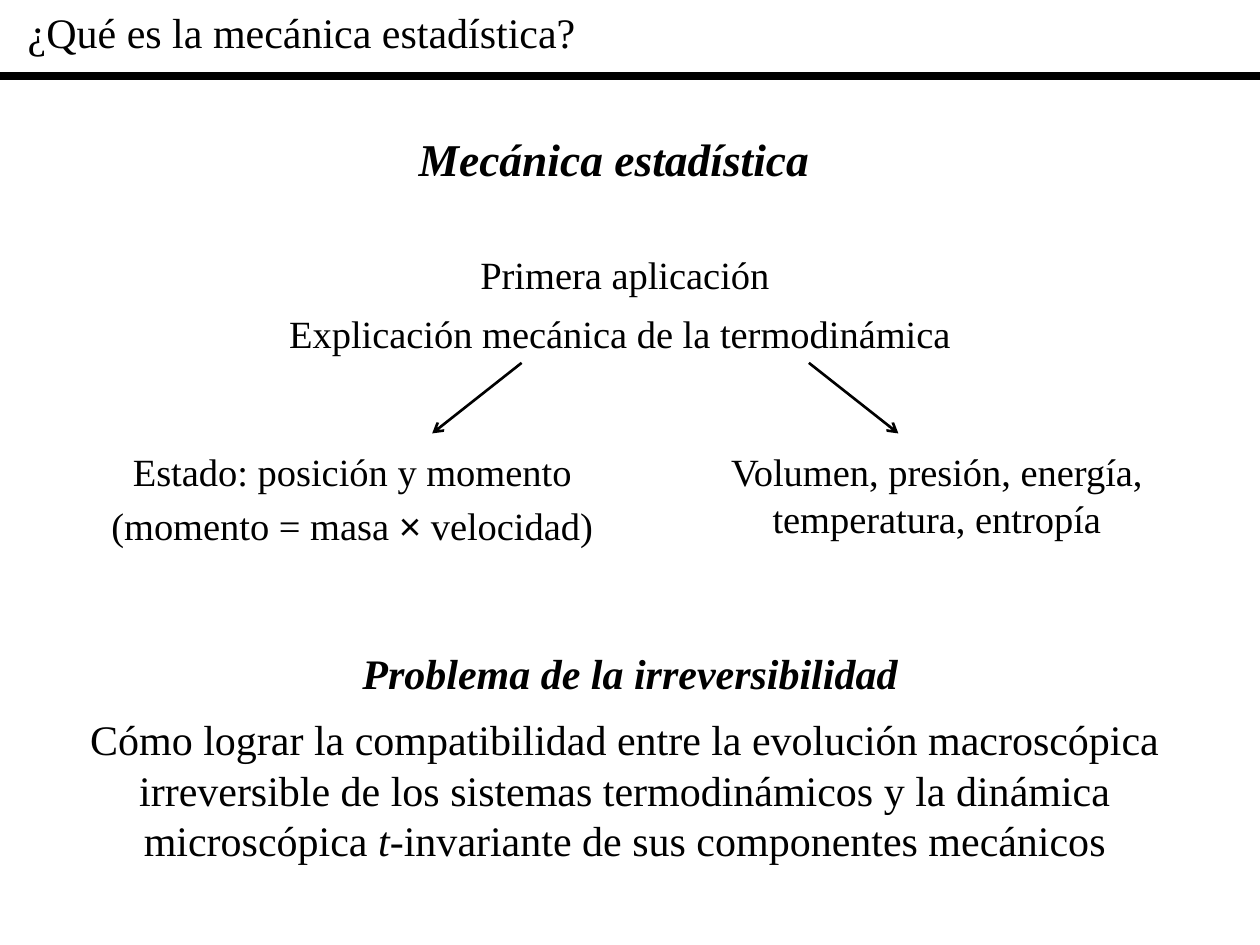
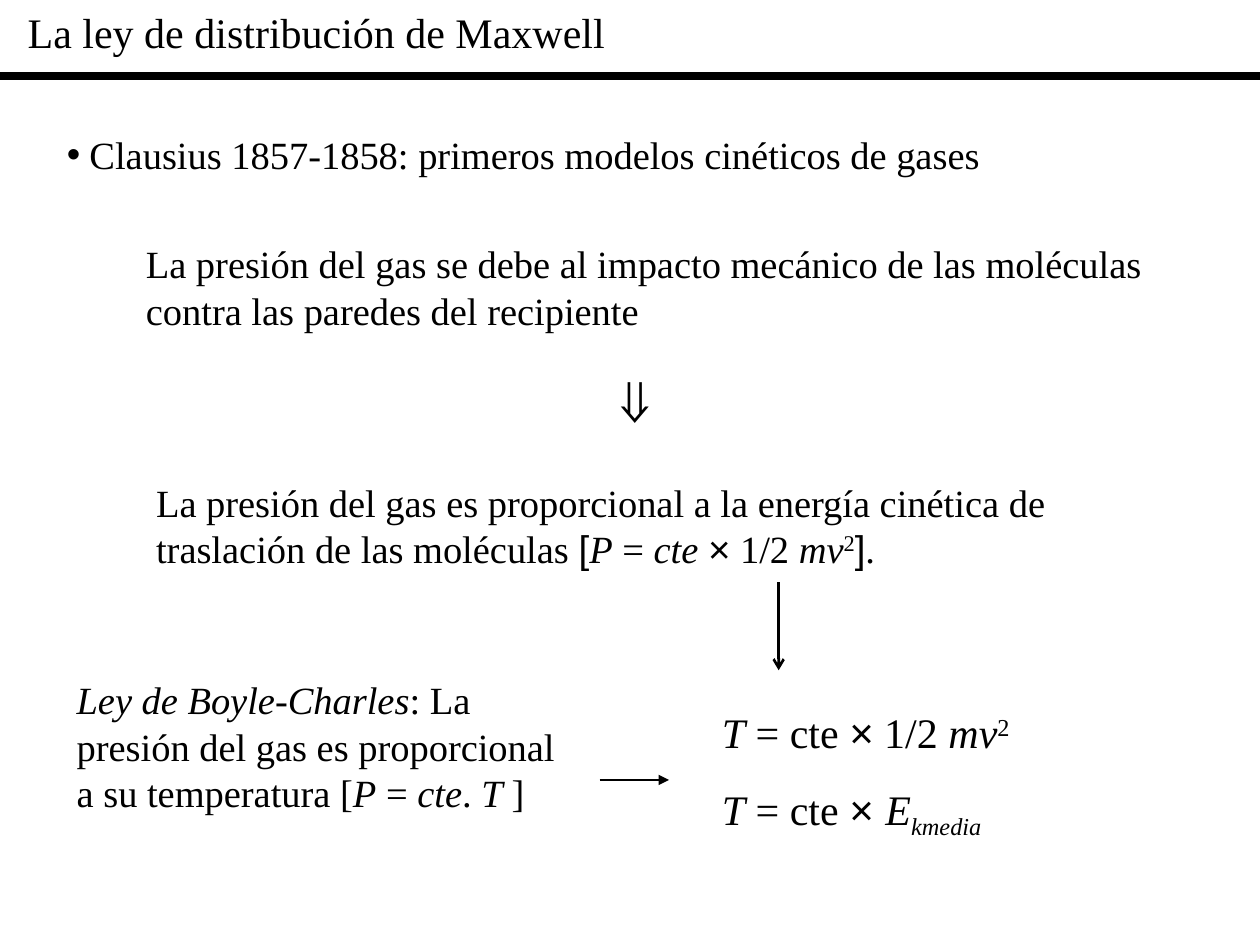
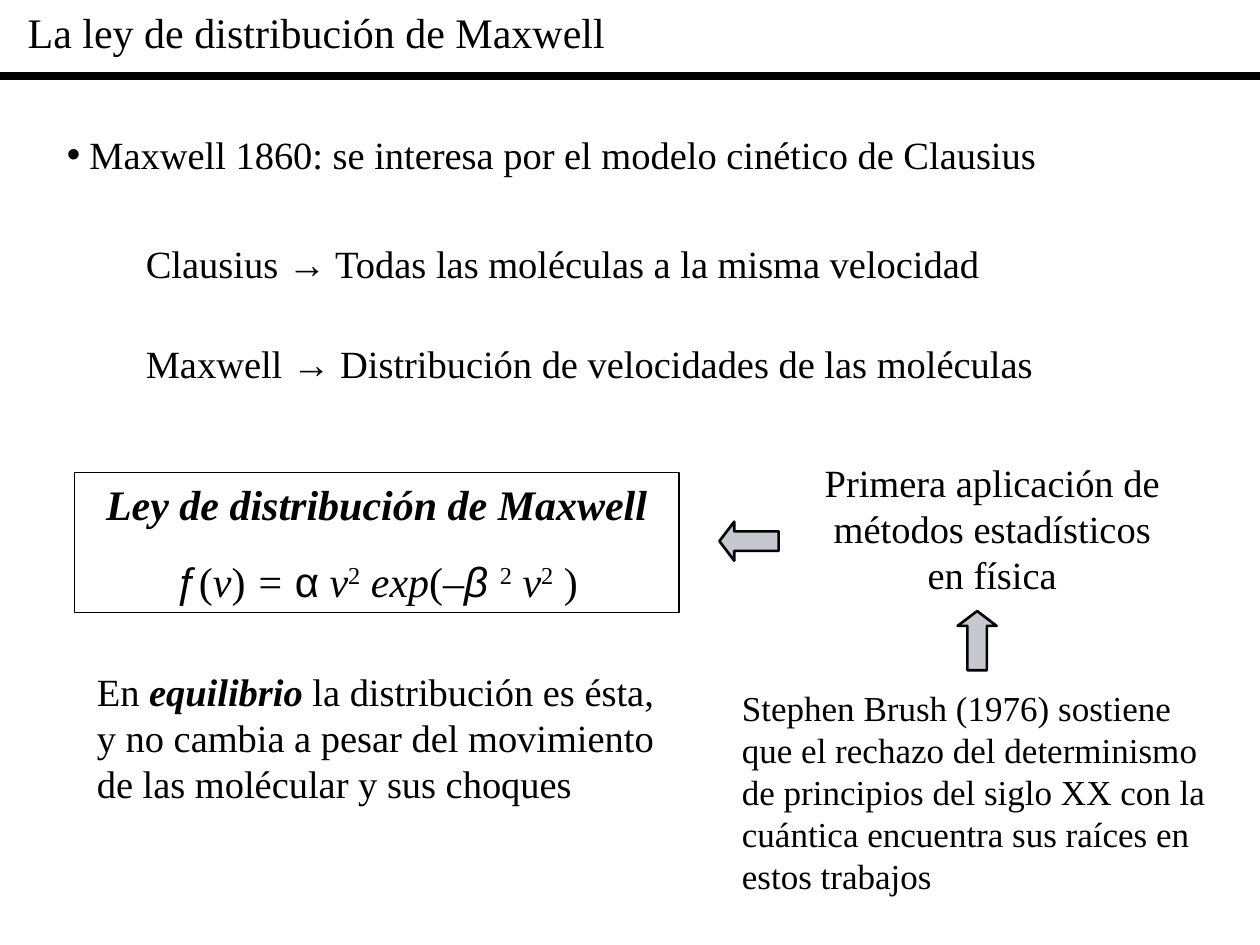
from lxml import etree
from pptx import Presentation, util as u
from pptx.dml.color import RGBColor
from pptx.enum import shapes, text
from pptx.oxml import ns

BLACK = RGBColor(0x00, 0x00, 0x00)
ARROW_GREY = RGBColor(0xC5, 0xC8, 0xCF)
SERIF, SANS = "Times New Roman", "Arial"
LEFT, CENTER = text.PP_ALIGN.LEFT, text.PP_ALIGN.CENTER
MARGINS = {"margin_left": 0.1, "margin_right": 0.1, "margin_top": 0.05, "margin_bottom": 0.05}
MARKS = {"i": {"italic": True}, "b": {"bold": True}, "s": {"name": SANS}}
BASELINES = {"^": "30000", "_": "-25000"}


def write(shape, place, paragraphs, size=22, align=LEFT, before=0, after=0, bullet=False):
    for side, inches in zip(("left", "top", "width", "height"), place):
        setattr(shape, side, u.Inches(inches))
    frame = shape.text_frame
    frame.word_wrap = True
    frame.auto_size = text.MSO_AUTO_SIZE.SHAPE_TO_FIT_TEXT
    frame.vertical_anchor = text.MSO_ANCHOR.TOP
    for margin, inches in MARGINS.items():
        setattr(frame, margin, u.Inches(inches))
    for index, runs in enumerate(paragraphs):
        paragraph = frame.add_paragraph() if index else frame.paragraphs[0]
        spacing = {
            "alignment": align,
            "space_before": u.Pt(before if index else 0),
            "space_after": u.Pt(after if index else 0),
        }
        for name, value in spacing.items():
            setattr(paragraph, name, value)
        if bullet:
            props = paragraph._p.get_or_add_pPr()
            props.set("marL", str(u.Inches(0.18)))
            props.set("indent", str(-u.Inches(0.18)))
            etree.SubElement(props, ns.qn("a:buFont"), typeface=SANS)
            etree.SubElement(props, ns.qn("a:buChar"), char="•")
        for words, marks in runs:
            run = paragraph.add_run()
            run.text = words
            look = {"name": SERIF, "size": u.Pt(size), "bold": False, "italic": False}
            for mark in marks:
                look.update(MARKS.get(mark, {}))
                if mark in BASELINES:
                    run._r.get_or_add_rPr().set("baseline", BASELINES[mark])
            for name, value in look.items():
                setattr(run.font, name, value)
            run.font.color.rgb = BLACK


def draw_line(slide, start, end, width=1.5, head=None):
    points = [u.Inches(value) for value in (*start, *end)]
    line = slide.shapes.add_connector(shapes.MSO_CONNECTOR.STRAIGHT, *points)
    line.line.color.rgb = BLACK
    line.line.width = u.Pt(width)
    if head:
        etree.SubElement(line.line._get_or_add_ln(), ns.qn("a:tailEnd"), type=head)
    etree.SubElement(line._element.spPr, ns.qn("a:effectLst"))


centered = {"align": CENTER}
contents = [
    {
        "title": "¿Qué es la mecánica estadística?",
        "texts": [
            ((0.59, 1.94, 8.74, 0.47), [[("Primera aplicación", "")]], centered),
            ((1.61, 0.99, 6.53, 0.54), [[("Mecánica estadística", "bi")]],
             {"size": 26, "align": CENTER}),
            ((0.75, 3.51, 4.09, 0.89),
             [[("Estado: posición y momento", "")],
              [("(momento = masa ", ""), ("×", "s"), (" velocidad)", "")]],
             {"align": CENTER, "before": 4.1}),
            ((1.93, 2.41, 5.98, 0.47),
             [[("Explicación mecánica de la termodinámica", "")]], centered),
            ((5.39, 3.51, 4.09, 0.84),
             [[("Volumen, presión, energía, temperatura, entropía", "")]], centered),
            ((0.51, 5.09, 8.9, 1.83),
             [[(" Problema de la irreversibilidad", "bi")],
              [("Cómo lograr la compatibilidad entre la evolución macroscópica irreversible "
                "de los sistemas termodinámicos y la dinámica microscópica ", ""),
               ("t", "i"), ("-invariante de sus componentes mecánicos", "")]],
             {"size": 24, "align": CENTER, "before": 9}),
        ],
        "lines": [((4.14, 2.88), (3.43, 3.44), "arrow"), ((6.42, 2.88), (7.13, 3.44), "arrow")],
    },
    {
        "title": "La ley de distribución de Maxwell",
        "topic": "Clausius 1857-1858: primeros modelos cinéticos de gases",
        "texts": [
            ((1.06, 1.86, 8.43, 0.84),
             [[("La presión del gas se debe al impacto mecánico de las moléculas "
                "contra las paredes del recipiente", "")]], {}),
            ((1.14, 3.75, 7.72, 0.84),
             [[("La presión del gas es proporcional a la energía cinética de traslación "
                "de las moléculas ", ""), ("[", "s"), ("P", "i"), (" = ", ""), ("cte ", "i"),
               ("×", "s"), (" 1/2", ""), (" mv", "i"), ("2", "^"), ("]", "s"), (".", "")]], {}),
            ((4.76, 2.81, 0.63, 0.7), [[("⇓", "s")]], {"size": 36}),
            ((0.51, 5.32, 4.09, 1.2),
             [[("Ley de Boyle-Charles", "i"),
               (": La presión del gas es proporcional a su temperatura [", ""), ("P", "i"),
               (" = ", ""), ("cte", "i"), (". ", ""), ("T ", "i"), ("]", "")]], {}),
            ((5.63, 5.56, 3.39, 1.17),
             [[("T", "i"), (" = cte ", ""), ("×", "s"), (" 1/2", ""), (" mv", "i"), ("2", "^")],
              [("T", "i"), (" = cte ", ""), ("× ", "s"), ("E", "i"), ("kmedia", "i_")]],
             {"size": 24, "before": 15}),
        ],
        "lines": [((6.18, 4.62), (6.18, 5.32), "arrow"), ((4.76, 6.19), (5.31, 6.19), "triangle")],
    },
    {
        "title": "La ley de distribución de Maxwell",
        "topic": "Maxwell 1860: se interesa por el modelo cinético de Clausius",
        "texts": [
            ((1.06, 1.86, 7.24, 0.47),
             [[("Clausius ", ""), ("→", "s"), (" Todas las moléculas a la misma velocidad", "")]],
             {}),
            ((1.06, 2.65, 7.24, 0.47),
             [[("Maxwell ", ""), ("→", "s"),
               (" Distribución de velocidades de las moléculas", "")]], {}),
            ((6.34, 3.59, 3.07, 1.2),
             [[("Primera aplicación de métodos estadísticos en física", "")]], centered),
            ((0.67, 5.25, 4.65, 1.2),
             [[("En ", ""), ("equilibrio", "bi"),
               (" la distribución es ésta, y no cambia a pesar del movimiento "
                "de las molécular y sus choques", "")]], {}),
            ((5.79, 5.4, 3.94, 1.77),
             [[("Stephen Brush (1976) sostiene que el rechazo del determinismo de principios "
                "del siglo XX con la cuántica encuentra sus raíces en estos trabajos", "")]],
             {"size": 20}),
        ],
        "lines": [],
    },
]

deck = Presentation()
deck.slide_width, deck.slide_height = u.Inches(10), u.Inches(7.5)
for content in contents:
    slide = deck.slides.add_slide(deck.slide_layouts[1 if "topic" in content else 5])
    write(slide.shapes.title, (0.12, 0, 9.88, 0.5), [[(content["title"], "")]], size=24)
    draw_line(slide, (0, 0.6), (10, 0.6), width=4.5)
    if "topic" in content:
        write(slide.placeholders[1], (0.43, 0.99, 8.43, 0.47), [[(content["topic"], "")]],
              bullet=True)
    for place, paragraphs, options in content["texts"]:
        write(slide.shapes.add_textbox(0, 0, 0, 0), place, paragraphs, **options)
    for start, end, head in content["lines"]:
        draw_line(slide, start, end, head=head)

law = slide.shapes.add_shape(shapes.MSO_SHAPE.RECTANGLE, 0, 0, 0, 0)
law.shadow.inherit = False
law.fill.background()
law.line.color.rgb = BLACK
law.line.width = u.Pt(0.75)
write(law, (0.59, 3.75, 4.8, 1.11),
      [[("Ley de distribución de Maxwell", "bi")],
       [("ƒ", "s"), ("(", ""), ("v", "i"), (")", ""), (" = ", "i"), ("α", "s"), (" v", "i"),
        ("2", "^"), (" exp", "i"), ("(‒", ""), ("β ", "si"), ("2", "^"), (" v", "i"),
        ("2", "^"), (" )", "")]],
      size=24, align=CENTER, before=15, after=9)

for left, top, turn in ((5.71, 4.14, 0), (7.52, 4.93, 90)):
    place = [u.Inches(value) for value in (left, top, 0.47, 0.31)]
    pointer = slide.shapes.add_shape(shapes.MSO_SHAPE.LEFT_ARROW, *place)
    pointer.shadow.inherit = False
    pointer.rotation = turn
    pointer.adjustments[0], pointer.adjustments[1] = 0.5, 0.38
    pointer.fill.solid()
    pointer.fill.fore_color.rgb = ARROW_GREY
    pointer.line.color.rgb = BLACK
    pointer.line.width = u.Pt(1.5)

deck.save("out.pptx")
